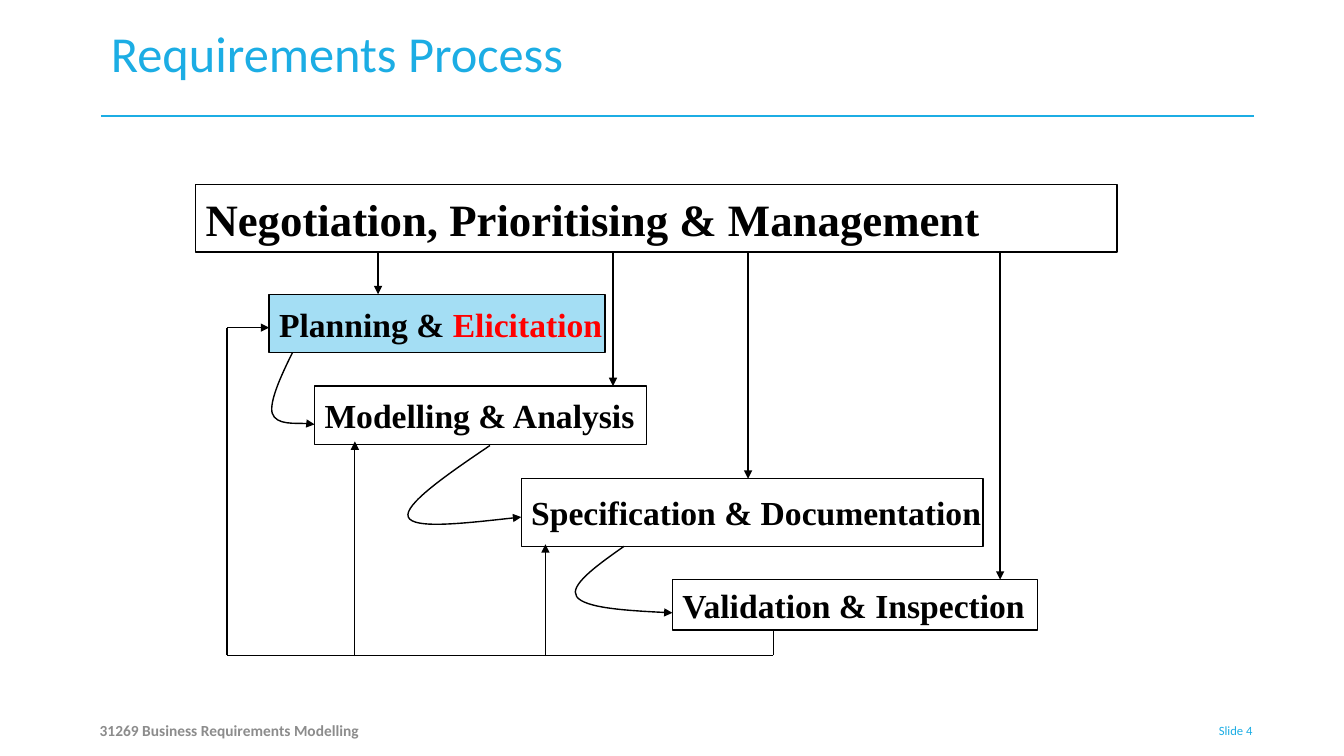
import pptx
import pptx.util
import pptx.dml.color
import pptx.enum.text
import pptx.enum.shapes
import pptx.oxml
import pptx.oxml.ns

RGB = pptx.dml.color.RGBColor
ALIGN = pptx.enum.text.PP_ALIGN
ANCHOR = pptx.enum.text.MSO_ANCHOR

BLUE = RGB(0x1C, 0xAD, 0xE4)
PALE = RGB(0xA4, 0xDE, 0xF4)
GREY = RGB(0x8C, 0x8C, 0x8C)
BLACK = RGB(0, 0, 0)
WHITE = RGB(0xFF, 0xFF, 0xFF)
RED = RGB(0xFF, 0, 0)
SANS = "Calibri"
SERIF = "Times New Roman"
SCALE = 9144


def px(n):
    return pptx.util.Emu(round(n * SCALE))


def node(tag):
    return pptx.oxml.parse_xml("<a:%s %s/>" % (tag, pptx.oxml.ns.nsdecls("a")))


def place(shape, box):
    shape.left, shape.top, shape.width, shape.height = map(px, box)


def write(shape, runs, size, font, bold=False, align=ALIGN.LEFT, anchor=ANCHOR.MIDDLE, wrap=True):
    frame = shape.text_frame
    frame.word_wrap = wrap
    frame.vertical_anchor = anchor
    para = frame.paragraphs[0]
    para.alignment = align
    for text, color in runs:
        run = para.add_run()
        run.text = text
        run.font.size = pptx.util.Pt(size)
        run.font.name = font
        run.font.bold = bold
        run.font.color.rgb = color


def stroke(shape, color=BLACK, width=1, arrow=False):
    shape.line.color.rgb = color
    shape.line.width = pptx.util.Pt(width)
    if arrow:
        tail = node("tailEnd")
        tail.set("type", "triangle")
        shape.line._get_or_add_ln().append(tail)


def link(slide, start, end, color=BLACK, width=1, arrow=False):
    line = slide.shapes.add_connector(
        pptx.enum.shapes.MSO_CONNECTOR.STRAIGHT, *map(px, start + end))
    stroke(line, color, width, arrow)
    line._element.spPr.append(node("effectLst"))


def curve(slide, x, y, pts):
    pts = [(x + dx, y + dy) for dx, dy in pts]
    form = slide.shapes.build_freeform(*pts[0], scale=SCALE)
    form.add_line_segments(pts[1:], close=False)
    shape = form.convert_to_shape()
    legs = list(shape._element.iter(pptx.oxml.ns.qn("a:lnTo")))
    for i in range(0, len(legs), 3):
        bend = node("cubicBezTo")
        legs[i].addprevious(bend)
        for leg in legs[i:i + 3]:
            bend.append(leg[0])
            leg.getparent().remove(leg)
    shape.shadow.inherit = False
    shape.fill.background()
    stroke(shape, arrow=True)


def stage(slide, box, runs, size=24, fill=WHITE):
    shape = slide.shapes.add_shape(
        pptx.enum.shapes.MSO_SHAPE.RECTANGLE, *map(px, box))
    shape.shadow.inherit = False
    shape.fill.solid()
    shape.fill.fore_color.rgb = fill
    stroke(shape)
    write(shape, runs, size, SERIF, bold=True, wrap=False)


def header(slide, box):
    x, y, w, h = box
    link(slide, (x, y + 98), (x + w, y + 98), BLUE)
    title = slide.shapes.title
    place(title, (x, y, 876, h))
    write(title, [("Requirements Process", BLUE)], 36, SANS, anchor=ANCHOR.TOP)


def footer(slide, box):
    x, y, w, h = box
    name = slide.shapes.add_textbox(*map(px, (x, y, 674, h)))
    write(name, [("31269 Business Requirements Modelling", GREY)], 11, SANS, bold=True)
    page = slide.shapes.add_textbox(*map(px, (x + w - 92, y, 92, h)))
    write(page, [("Slide 4", BLUE)], 9, SANS, align=ALIGN.RIGHT)


def process(slide, box):
    x, y, w, h = box
    stages = [
        ((73, 109, 333, 58), [("Planning & ", BLACK), ("Elicitation", RED)], PALE, 181),
        ((118, 200, 329, 58), [("Modelling & Analysis", BLACK)], WHITE, 414),
        ((323, 292, 458, 67), [("Specification & Documentation", BLACK)], WHITE, 548),
        ((473, 392, 362, 50), [("Validation & Inspection", BLACK)], WHITE, 798),
    ]
    for (left, top, wide, high), runs, fill, drop in stages:
        stage(slide, (x + left, y + top, wide, high), runs, fill=fill)
    stage(slide, (x, y, w, 67), [("Negotiation, Prioritising & Management", BLACK)], 32)

    curves = [
        [(96, 167), (84, 191), (73, 216), (76, 227), (80, 239), (111, 236), (118, 238)],
        [(292, 259), (249, 288), (206, 318), (211, 330), (216, 342), (269, 336), (323, 330)],
        [(425, 359), (398, 378), (370, 398), (378, 409), (386, 420), (429, 423), (473, 425)],
    ]
    for pts in curves:
        curve(slide, x, y, pts)

    for (left, top, wide, high), runs, fill, drop in stages:
        link(slide, (x + drop, y + 67), (x + drop, y + top), arrow=True)

    base = y + h
    loop = [(x + 573, y + 442), (x + 573, base), (x + 31, base),
            (x + 31, y + 142), (x + 73, y + 142)]
    for i, (start, end) in enumerate(zip(loop, loop[1:])):
        link(slide, start, end, arrow=i == 3)
    for left, top in ((347, 357), (158, 255)):
        link(slide, (x + left, base + 1), (x + left, y + top), width=0.75, arrow=True)


def main():
    deck = pptx.Presentation()
    deck.slide_width, deck.slide_height = px(1333), px(750)
    slide = deck.slides.add_slide(deck.slide_layouts[5])
    header(slide, (100, 17, 1144, 100))
    footer(slide, (89, 705, 1163, 40))
    process(slide, (194, 183, 914, 467))
    deck.save("out.pptx")


if __name__ == "__main__":
    main()
